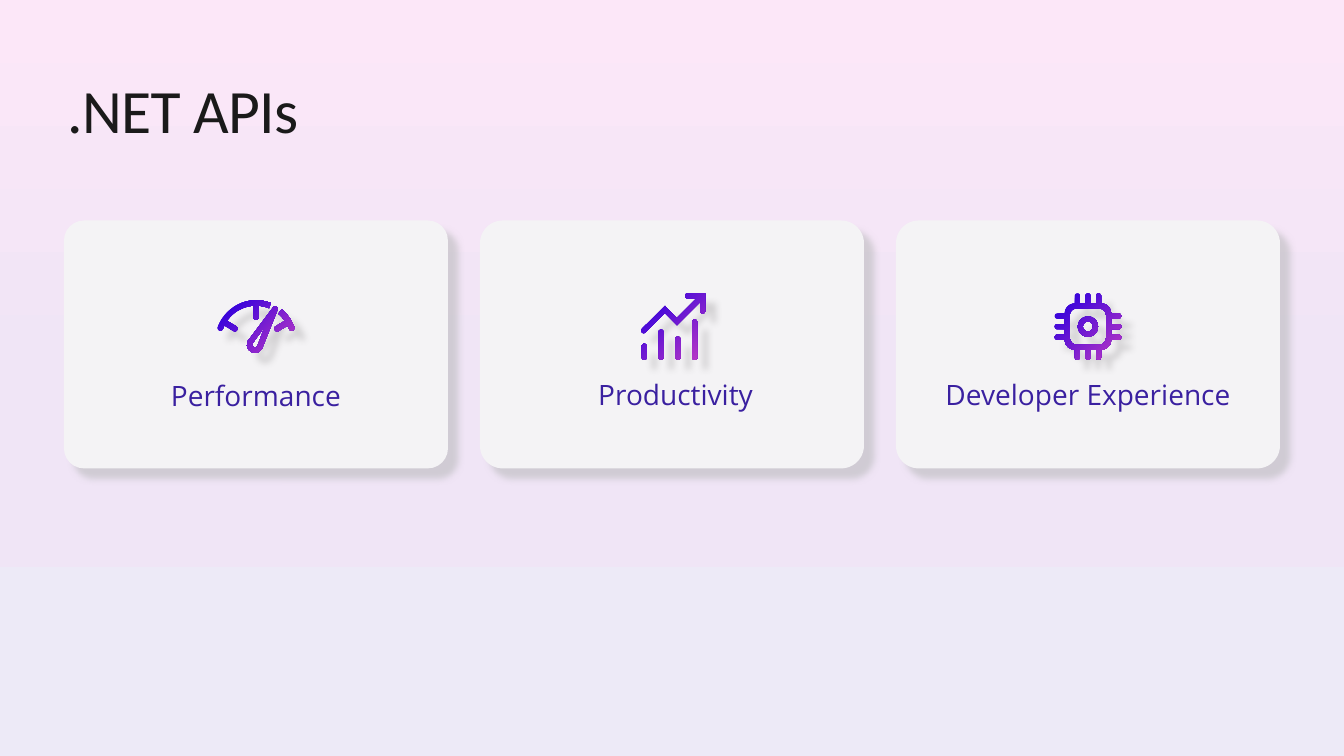
from dataclasses import dataclass
from math import atan2, cos, pi, remainder, sin, tau

from lxml.etree import SubElement
from pptx import Presentation
from pptx.dml.color import RGBColor
from pptx.enum.shapes import MSO_SHAPE
from pptx.enum.text import MSO_ANCHOR, MSO_AUTO_SIZE, PP_ALIGN
from pptx.oxml.ns import qn
from pptx.util import Inches, Pt

Point = tuple[float, float]
Contour = list[Point]

presentation = Presentation()
presentation.slide_width, presentation.slide_height = Inches(13.33), Inches(7.5)
WIDTH, HEIGHT = presentation.slide_width, presentation.slide_height

# Grid: 42 columns (margin 2, card 12, gap 1) and 24 rows
COLUMN, ROW = WIDTH / 42, HEIGHT / 24
MARGIN, CARD_COLUMNS, GAP = 2, 12, 1
CARD_TOP, CARD_ROWS = 7, 7.87
ICON_ROW = 10.37
ICON_UNIT = WIDTH / 1333
FLAT, POINTED, ROUND = 1, 2, 10  # segments in the end cap of a stroke


@dataclass
class Card:
    label: str
    corner: float
    column: int
    icon: list[Contour]


def color(value: str) -> RGBColor:
    return RGBColor.from_string(value)


# Icon outlines, in icon units from the icon's centre
def arc(center: Point, radius: float, start: float, sweep: float, steps: int = ROUND) -> Contour:
    angles = [start + sweep * step / steps for step in range(steps + 1)]
    return [(center[0] + radius * cos(a), center[1] + radius * sin(a)) for a in angles]


def stroke(points: Contour, radius: float = 2.5, end_radius: float | None = None,
           start_cap: int = ROUND, end_cap: int = ROUND) -> Contour:
    """Outline of a thick line through the points."""
    headings = [atan2(b[1] - a[1], b[0] - a[0]) for a, b in zip(points, points[1:])]
    left, right = [], []
    for (x, y), before, after in zip(points[1:-1], headings, headings[1:]):
        half_turn = remainder(after - before, tau) / 2
        reach, normal = radius / cos(half_turn), before + half_turn + pi / 2
        dx, dy = reach * cos(normal), reach * sin(normal)
        left.append((x + dx, y + dy))
        right.append((x - dx, y - dy))
    start = arc(points[0], radius, headings[0] - pi / 2, -pi, start_cap)
    end = arc(points[-1], end_radius or radius, headings[-1] + pi / 2, -pi, end_cap)
    return start + left + end + right[::-1]


def rounded_square(half: float, radius: float) -> Contour:
    inner = half - radius
    corners = [(inner, inner), (-inner, inner), (-inner, -inner), (inner, -inner)]
    return [point for quarter, corner in enumerate(corners)
            for point in arc(corner, radius, quarter * pi / 2, pi / 2)]


def gauge() -> list[Contour]:
    dial = (0, 14)
    return [
        stroke(arc(dial, 37.5, -0.89 * pi, 0.51 * pi, 24), 2.7, end_cap=FLAT),
        stroke(arc(dial, 37.5, -0.28 * pi, 0.17 * pi), 2.7, start_cap=FLAT),
        stroke([(0, -20.5), (0, -9.7)], 2.7, start_cap=FLAT),
        *[stroke([(side * 30, -3.5), (side * 21, 2)], 2.7, start_cap=FLAT) for side in (-1, 1)],
        stroke([(-1, 18), (19, -17.5)], 8, 2.5),
        stroke([(-1, 18), (7, 3)], 2.8, 0.5),
    ]


def rising_chart() -> list[Contour]:
    bars = [stroke([(-27.5 + 16.7 * index, top), (-27.5 + 16.7 * index, 30.5)])
            for index, top in enumerate([19.5, 5.5, 12.5, -4.5])]
    trend = stroke([(26, -26), (5, -5), (-7, -17), (-28, 4)], start_cap=POINTED)
    head = stroke([(15.5, -30.5), (30.5, -30.5), (30.5, -15.5)])
    return [*bars, trend, head]


def chip() -> list[Contour]:
    squares = [(23, 10), (18, 7), (10, 10), (5, 5)]
    pins = []
    for offset in (-10.5, 0, 10.5):
        for side in (-1, 1):
            inner, outer = side * 23, side * 30.5
            pins.append(stroke([(offset, inner), (offset, outer)], start_cap=FLAT))
            pins.append(stroke([(inner, offset), (outer, offset)], start_cap=FLAT))
    return [rounded_square(half, radius) for half, radius in squares] + pins


# Gradients and shadows
def set_gradient(fill, owner, stops: list[tuple[int, str]], circular: bool) -> None:
    fill.gradient()
    gradient = next(owner.iter(qn("a:gradFill")))
    gradient.clear()
    stop_list = SubElement(gradient, qn("a:gsLst"))
    for position, value in stops:
        stop = SubElement(stop_list, qn("a:gs"), pos=str(position * 1000))
        SubElement(stop, qn("a:srgbClr"), val=value)
    if circular:
        shade = SubElement(gradient, qn("a:path"), path="circle")
        SubElement(shade, qn("a:fillToRect"), l="100000", t="100000")
    else:
        SubElement(gradient, qn("a:lin"), ang="5400000", scaled="0")


def set_shadow(shape, value: str, opacity: int) -> None:
    shape.shadow.inherit = False
    effects = next(shape._element.iter(qn("a:effectLst")))
    shadow = SubElement(effects, qn("a:outerShdw"), blurRad=str(Pt(5)), dist=str(Pt(10)),
                        dir="2700000", algn="tl", rotWithShape="0")
    shadow_color = SubElement(shadow, qn("a:srgbClr"), val=value)
    SubElement(shadow_color, qn("a:alpha"), val=str(opacity * 1000))


def draw_icon(shapes, contours: list[Contour], center: Point) -> None:
    placed = [[(center[0] + x * ICON_UNIT, center[1] + y * ICON_UNIT) for x, y in contour]
              for contour in contours]
    builder = shapes.build_freeform(*placed[0][0])
    for index, contour in enumerate(placed):
        if index:
            builder.move_to(*contour[0])
        builder.add_line_segments(contour[1:], close=True)
    icon = builder.convert_to_shape()
    set_gradient(icon.fill, icon._element, [(0, "C03BC4"), (85, "3803DB")], circular=True)
    icon.line.fill.background()
    set_shadow(icon, "454142", 20)


def draw_card(slide, card: Card) -> None:
    shapes = slide.shapes.add_group_shape().shapes
    left = (MARGIN + card.column * (CARD_COLUMNS + GAP)) * COLUMN
    panel = shapes.add_shape(MSO_SHAPE.ROUNDED_RECTANGLE, round(left), round(CARD_TOP * ROW),
                             round(CARD_COLUMNS * COLUMN), round(CARD_ROWS * ROW))
    panel.adjustments[0] = card.corner
    panel.fill.solid()
    panel.fill.fore_color.rgb = color("F4F3F5")
    panel.line.fill.background()
    set_shadow(panel, "B1B3B3", 50)

    frame = panel.text_frame
    frame.word_wrap = True
    frame.vertical_anchor = MSO_ANCHOR.BOTTOM
    frame.margin_left = frame.margin_right = 0
    frame.margin_top, frame.margin_bottom = Inches(0.1), Inches(0.5)
    frame.text = card.label
    paragraph = frame.paragraphs[0]
    paragraph.alignment = PP_ALIGN.CENTER
    font = paragraph.runs[0].font
    font.name, font.size, font.color.rgb = "Open Sans", Pt(20), color("3A20A0")

    draw_icon(shapes, card.icon, (left + CARD_COLUMNS * COLUMN / 2, ICON_ROW * ROW))


def draw_title(slide, text: str) -> None:
    title = slide.shapes.title
    title.left, title.top = round(0.05 * WIDTH), round(0.09 * HEIGHT)
    title.width, title.height = round(0.9 * WIDTH), round(0.12 * HEIGHT)
    frame = title.text_frame
    frame.text = text
    frame.auto_size = MSO_AUTO_SIZE.NONE
    frame.vertical_anchor = MSO_ANCHOR.MIDDLE
    frame.margin_left = frame.margin_right = frame.margin_top = frame.margin_bottom = 0
    paragraph = frame.paragraphs[0]
    paragraph.alignment, paragraph.line_spacing = PP_ALIGN.LEFT, 0.9
    run = paragraph.runs[0]
    run.font.name, run.font.size, run.font.color.rgb = "Calibri", Pt(44), color("1A1A1A")
    run._r.get_or_add_rPr().set("spc", "-50")


def main() -> None:
    slide = presentation.slides.add_slide(presentation.slide_layouts[5])
    set_gradient(slide.background.fill, slide._element,
                 [(0, "FCE7F8"), (50, "F0E5F6"), (100, "EDEAF7")], circular=False)
    draw_title(slide, ".NET APIs")
    for card in [
        Card(" Productivity", 0.092, 1, rising_chart()),
        Card("Developer Experience", 0.092, 2, chip()),
        Card("Performance", 0.081, 0, gauge()),
    ]:
        draw_card(slide, card)
    presentation.save("out.pptx")


if __name__ == "__main__":
    main()
